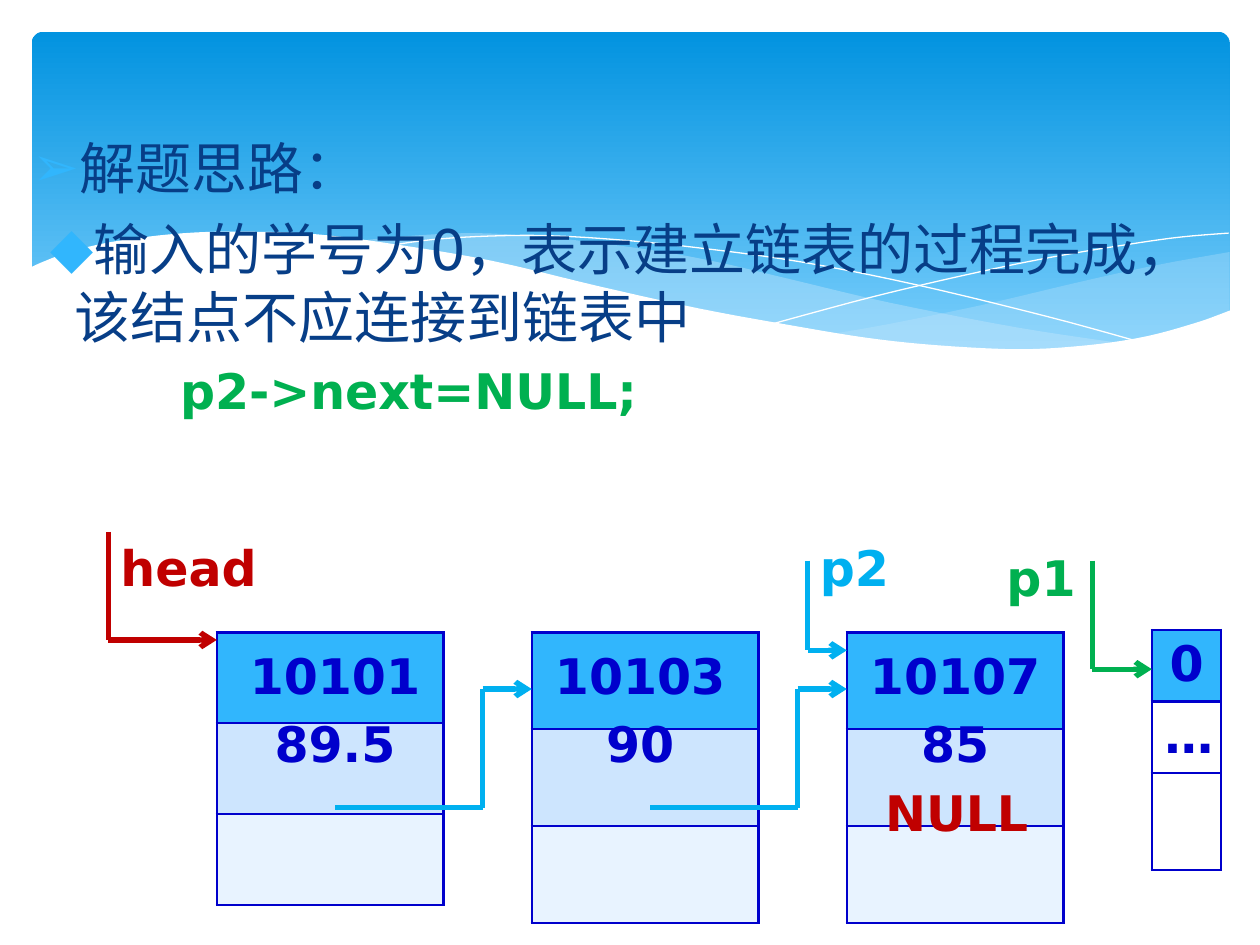
from dataclasses import dataclass
from pptx import Presentation
from pptx.dml.color import RGBColor as Rgb
from pptx.enum.shapes import MSO_CONNECTOR as Link, MSO_SHAPE as Preset
from pptx.enum.text import MSO_ANCHOR as Anchor, PP_ALIGN as Align
from pptx.oxml import parse_xml
from pptx.oxml.ns import nsdecls, qn
from pptx.util import Cm, Pt


@dataclass(frozen=True)
class Theme:
    font: str = "DejaVu Sans"
    body_size: float = 32
    label_size: float = 28
    node_leading: float = 39
    arrow_width: float = 3
    border_width: float = 1.47
    navy: str = "073E87"
    blue: str = "0000CC"
    red: str = "C00000"
    green: str = "00B050"
    cyan: str = "00B0F0"
    bullet: str = "31B6FD"
    white: str = "FFFFFF"
    swell: str = "C6E7FC"
    banner: tuple = ("0293E0", "83D3FE")
    node_fills: tuple = ("31B6FD", "CDE5FE", "E8F3FF")
    new_node_fills: tuple = ("31B6FD", "FFFFFF", "FFFFFF")


def spline(knots, steps=5):
    padded = [knots[0], *knots, knots[-1]]
    points = [knots[0]]
    for a, b, c, d in zip(padded, padded[1:], padded[2:], padded[3:]):
        for step in range(1, steps + 1):
            t = step / steps
            points.append(tuple(
                (2 * q + (r - p) * t + (2 * p - 5 * q + 4 * r - s) * t ** 2
                 + (3 * q - p - 3 * r + s) * t ** 3) / 2
                for p, q, r, s in zip(a, b, c, d)))
    return points


class SlideBuilder:
    def __init__(self, page, theme):
        self.page = page
        self.theme = theme

    def banner(self, left, top, width, height):
        shape = self.page.shapes.add_shape(
            Preset.ROUNDED_RECTANGLE, Cm(left), Cm(top), Cm(width), Cm(height))
        shape.adjustments[0] = 0.034
        shape.shadow.inherit = False
        shape.line.fill.background()
        shape.fill.gradient()
        shape.fill.gradient_angle = 270
        for place, (stop, color) in enumerate(zip(shape.fill.gradient_stops, self.theme.banner)):
            stop.position = place
            stop.color.rgb = Rgb.from_string(color)

    def outline(self, points, closed):
        spots = [(Cm(x), Cm(y)) for x, y in points]
        builder = self.page.shapes.build_freeform(*spots[0])
        builder.add_line_segments(spots[1:], close=closed)
        shape = builder.convert_to_shape()
        shape.shadow.inherit = False
        return shape

    def wave(self, points, color, opacity=100):
        shape = self.outline(points, True)
        shape.line.fill.background()
        shape.fill.solid()
        shape.fill.fore_color.rgb = Rgb.from_string(color)
        if opacity < 100:
            tint = shape._element.spPr.find(qn("a:solidFill"))[0]
            tint.append(parse_xml(f'<a:alpha {nsdecls("a")} val="{opacity * 1000}"/>'))

    def hairline(self, points):
        shape = self.outline(points, False)
        shape.fill.background()
        shape.line.color.rgb = Rgb.from_string(self.theme.white)
        shape.line.width = Pt(0)

    def add_span(self, para, text, size, color, bold=True):
        span = para.add_run()
        span.text = text
        span.font.name = self.theme.font
        span.font.size = Pt(size)
        span.font.bold = bold
        span.font.color.rgb = Rgb.from_string(color)

    def frame(self, left, top, width, height):
        box = self.page.shapes.add_textbox(Cm(left), Cm(top), Cm(width), Cm(height))
        box.text_frame.word_wrap = True
        return box.text_frame

    def label(self, left, top, width, lines, color, align=Align.LEFT, leading=None):
        frame = self.frame(left, top, width, 1.44 * len(lines))
        for index, text in enumerate(lines):
            para = frame.add_paragraph() if index else frame.paragraphs[0]
            para.alignment = align
            if leading:
                para.line_spacing = Pt(leading)
            self.add_span(para, text, self.theme.label_size, color)

    def bullets(self, left, top, width, height, items):
        frame = self.frame(left, top, width, height)
        frame.margin_right = Cm(1.5)
        for index, (text, mark, margin, indent, level) in enumerate(items):
            para = frame.add_paragraph() if index else frame.paragraphs[0]
            props = para._p.get_or_add_pPr()
            props.set("marL", str(Cm(margin)))
            props.set("indent", str(Cm(indent)))
            props.append(parse_xml(
                f'<a:buClr {nsdecls("a")}><a:srgbClr val="{self.theme.bullet}"/></a:buClr>'))
            props.append(parse_xml(f'<a:buFont {nsdecls("a")} typeface="{self.theme.font}"/>'))
            props.append(parse_xml(f'<a:buChar {nsdecls("a")} char="{mark}"/>'))
            para.level = level
            if index:
                para.space_before = Pt(8)
            self.add_span(para, text, self.theme.body_size, self.theme.navy, False)

    def node(self, left, top, width, heights, fills, texts=()):
        table = self.page.shapes.add_table(
            len(heights), 1, Cm(left), Cm(top), Cm(width), Cm(sum(heights))).table
        table.first_row = table.horz_banding = False
        for index, (height, fill) in enumerate(zip(heights, fills)):
            table.rows[index].height = Cm(height)
            cell = table.cell(index, 0)
            props = cell._tc.get_or_add_tcPr()
            for side in ("lnL", "lnR", "lnT", "lnB"):
                props.append(parse_xml(
                    f'<a:{side} {nsdecls("a")} w="{Pt(self.theme.border_width)}"><a:solidFill>'
                    f'<a:srgbClr val="{self.theme.blue}"/></a:solidFill></a:{side}>'))
            cell.fill.solid()
            cell.fill.fore_color.rgb = Rgb.from_string(fill)
            cell.vertical_anchor = Anchor.TOP
            if index < len(texts):
                para = cell.text_frame.paragraphs[0]
                para.alignment = Align.CENTER
                self.add_span(para, texts[index], self.theme.label_size, self.theme.blue)

    def pointer(self, points, color):
        for start, end in zip(points, points[1:]):
            line = self.page.shapes.add_connector(
                Link.STRAIGHT, *(Cm(value) for value in (*start, *end)))
            line.line.color.rgb = Rgb.from_string(color)
            line.line.width = Pt(self.theme.arrow_width)
            line._element.spPr.append(parse_xml(f'<a:effectLst {nsdecls("a")}/>'))
        line.get_or_add_ln().append(parse_xml(f'<a:tailEnd {nsdecls("a")} type="arrow"/>'))


def draw_background(slide, theme):
    slide.banner(0.64, 0.64, 24.15, 6.86)
    slide.wave(
        spline([(24.79, 5.08), (23.39, 5.33), (21.87, 5.66), (19.79, 6.15), (17.93, 6.53), (16.79, 6.73)])
        + spline([(16.79, 6.73), (17.91, 6.88), (19.23, 7.01), (20.68, 7.06), (22.15, 6.96),
                  (23.39, 6.73), (24.79, 6.27)]), theme.swell, 29)
    slide.wave(
        spline([(22.68, 6.93), (20.5, 6.6), (17.93, 6.1), (15.98, 5.64), (14.45, 5.28),
                (13.06, 5.03), (11.2, 4.8), (9.65, 4.7), (8.33, 4.75), (7.26, 4.85)])
        + spline([(7.26, 4.85), (9.19, 5.16), (11.4, 5.64), (13.46, 6.1), (15.7, 6.55),
                  (17.65, 6.86), (19.63, 7.06), (21.03, 7.06), (22.68, 6.93)]), theme.swell, 40)
    slide.hairline(spline([(7.85, 4.95), (8.71, 4.83), (9.83, 4.76), (11, 4.75), (12.42, 4.83),
                           (14.12, 5), (16.15, 5.28), (18.47, 5.74), (21.11, 6.38), (23.04, 6.91)]))
    slide.hairline(spline([(15.57, 6.53), (17.65, 5.97), (19.71, 5.49), (21.23, 5.18),
                           (22.73, 4.93), (23.8, 4.78), (24.77, 4.7)]))
    slide.wave(
        spline([(0.58, 5.41), (0.91, 5.26), (1.5, 5.05), (2.41, 4.85), (3.71, 4.7), (4.9, 4.67),
                (6.35, 4.72), (8, 4.93), (9.93, 5.26), (12.07, 5.77), (14.1, 6.22), (15.9, 6.55),
                (17.48, 6.81), (18.9, 6.96), (20.55, 7.04), (21.92, 6.96), (23.11, 6.78),
                (24.13, 6.5), (24.82, 6.25)]) + [(24.82, 8.36), (0.58, 8.36)], theme.white)


def draw_list(slide, theme):
    nodes = [(4.37, 4.57, 1.83, 4.57, ["10101", "89.5"]),
             (10.72, 4.57, 1.95, 10.72, ["10103", "90"]),
             (17.07, 4.37, 1.95, 17.07, ["10107", "85"])]
    for left, width, row, text_left, values in nodes:
        slide.node(left, 12.75, width, [row] * 3, theme.node_fills)
        slide.label(text_left, 12.7, 4.37, values, theme.blue, Align.CENTER, theme.node_leading)
    slide.node(23.22, 12.7, 1.4, [1.44, 1.44, 1.95], theme.new_node_fills, ["0", "…"])
    for target in (10.72, 17.07):
        slide.pointer([(target - 3.96, 16.28), (target - 0.99, 16.28),
                       (target - 0.99, 13.89), (target, 13.89)], theme.cyan)
    pointers = [("head", 2.18, 10.72, 3.38, 2.18, 10.72, 4.37, 12.9, theme.red),
                ("p2", 16.28, 10.72, 2.18, 16.28, 11.3, 17.07, 13.11, theme.cyan),
                ("p1", 20.04, 10.92, 2.18, 22.02, 11.3, 23.22, 13.49, theme.green)]
    for name, left, top, width, x, start, end, y, color in pointers:
        slide.label(left, top, width, [name], color)
        slide.pointer([(x, start), (x, y), (end, y)], color)
    slide.label(17.2, 15.65, 4.17, ["NULL"], theme.red, Align.CENTER)


def main():
    deck = Presentation()
    deck.slide_width, deck.slide_height = Cm(25.4), Cm(19.05)
    theme = Theme()
    slide = SlideBuilder(deck.slides.add_slide(deck.slide_layouts[6]), theme)
    draw_background(slide, theme)
    slide.bullets(0.41, 2.57, 24.51, 5.36, [
        ("解题思路：", "➢", 0.76, -0.76, 0),
        ("输入的学号为0，表示建立链表的过程完成，该结点不应连接到链表中", "◆", 0.84, -0.48, 1)])
    draw_list(slide, theme)
    slide.label(3.38, 7.14, 10.92, ["p2->next=NULL;"], theme.green)
    deck.save("out.pptx")


if __name__ == "__main__":
    main()
